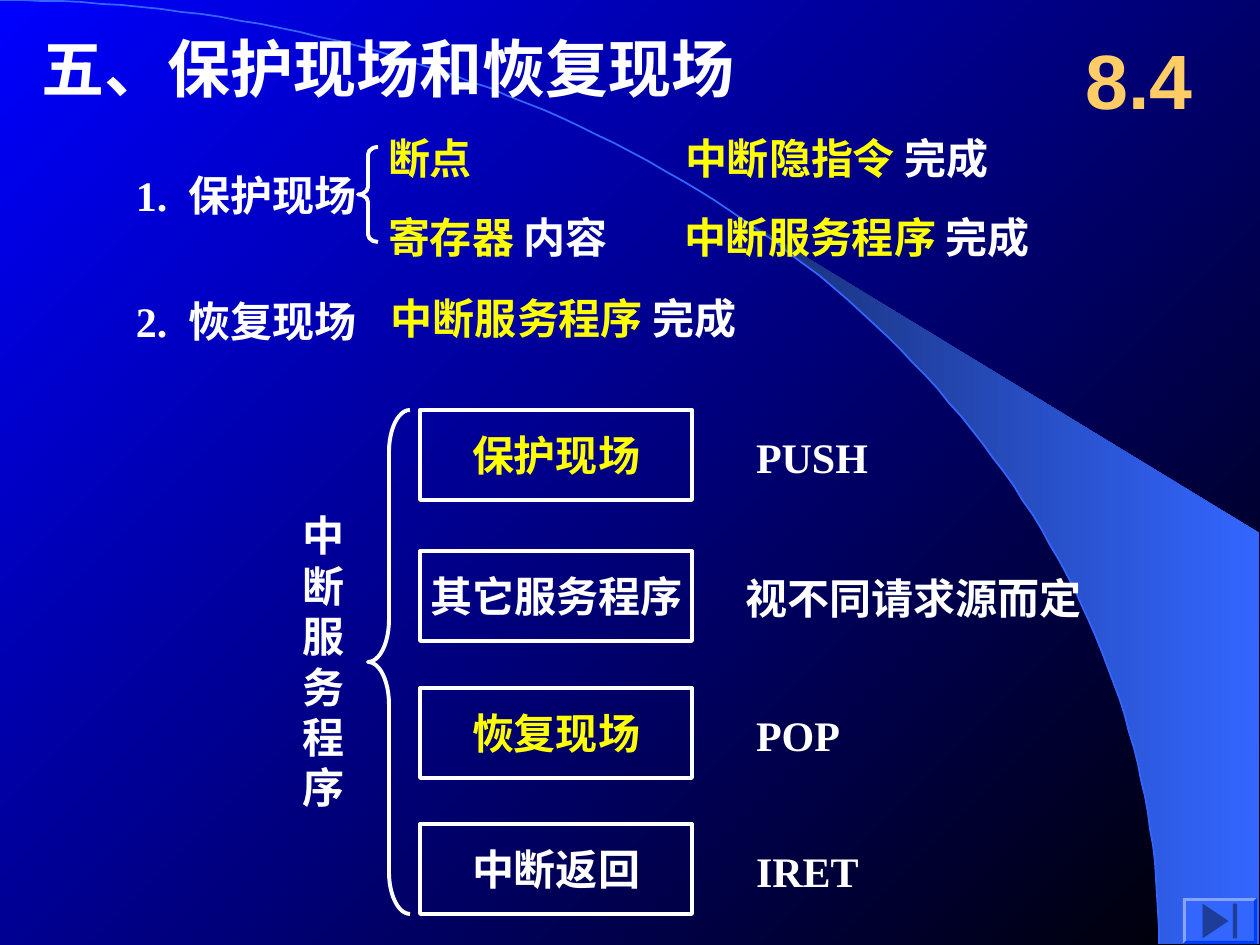
import math
from dataclasses import dataclass

from lxml import etree
from pptx import Presentation, util as u
from pptx.dml.color import RGBColor
from pptx.enum import shapes, text
from pptx.oxml import ns

PX = u.Inches(1) / 126


@dataclass(frozen=True)
class Theme:
    white: str = "FFFFFF"
    yellow: str = "FFFF00"
    gold: str = "FFCC66"
    blue: str = "3366FF"
    background: tuple = ("0000FF", "000000")
    sheen: tuple = ("182F76", "3366FF")
    serif: str = "Times New Roman"
    sans: str = "Arial"
    title: int = 36
    body: int = 24
    chapter: int = 44
    outline: float = 2.25


THEME = Theme()


def px(length):
    return u.Emu(round(length * PX))


def color(code):
    return RGBColor.from_string(code)


def fill_gradient(fill, colors, angle):
    fill.gradient()
    fill.gradient_angle = angle
    for stop, code, position in zip(fill.gradient_stops, colors, (0, 1)):
        stop.color.rgb = color(code)
        stop.position = position


def add_tab_stop(para, position):
    properties = para._p.get_or_add_pPr()
    tabs = etree.SubElement(properties, ns.qn("a:tabLst"))
    etree.SubElement(tabs, ns.qn("a:tab"), pos=str(px(position)), algn="l")


def write(shape, paragraphs, size=THEME.body, font=THEME.serif, inset=0, wrap=False,
          align=text.PP_ALIGN.LEFT, anchor=text.MSO_ANCHOR.MIDDLE, tab=None):
    """Fill a shape with paragraphs, each a list of (words, color) spans."""
    frame = shape.text_frame
    frame.word_wrap = wrap
    frame.vertical_anchor = anchor
    frame.margin_left = frame.margin_right = px(inset)
    frame.margin_top = frame.margin_bottom = px(6)
    for index, spans in enumerate(paragraphs):
        para = frame.add_paragraph() if index else frame.paragraphs[0]
        if tab:
            add_tab_stop(para, tab)
        para.alignment = align
        for words, code in spans:
            span = para.add_run()
            span.text = words
            span.font.size = u.Pt(size)
            span.font.name = font
            span.font.bold = True
            span.font.color.rgb = color(code)


def add_text(page, box, *spans, **style):
    write(page.shapes.add_textbox(*map(px, box)), [spans], **style)


def add_outline(page, kind, box):
    shape = page.shapes.add_shape(kind, *map(px, box))
    shape.shadow.inherit = False
    shape.fill.background()
    shape.line.color.rgb = color(THEME.white)
    shape.line.width = u.Pt(THEME.outline)
    return shape


def add_brace(page, box, curve):
    brace = add_outline(page, shapes.MSO_SHAPE.LEFT_BRACE, box)
    brace.adjustments[0] = curve


def add_freeform(page, points, close):
    builder = page.shapes.build_freeform(*points[0], scale=PX)
    builder.add_line_segments(points[1:], close=close)
    shape = builder.convert_to_shape()
    shape.shadow.inherit = False
    return shape


def draw_backdrop(page, box):
    """Shade the page, then add the sheen and the quarter ellipse it follows."""
    left, top, width, height = box
    fill_gradient(page.background.fill, THEME.background, 315)

    def on_arc(angle):
        return (left + width * math.sin(angle), top + height * (1 - math.cos(angle)))

    steps = 90
    arc = [on_arc(math.pi / 2 * step / steps) for step in range(steps + 1)]
    start = (742, 218)
    edge = [point for point in arc if point[0] > start[0] + 30]
    sheen = add_freeform(page, [start, *edge, (1259, 944), (1259, 533)], True)
    fill_gradient(sheen.fill, THEME.sheen, 0)
    sheen.line.fill.background()
    curve = add_freeform(page, arc, False)
    curve.fill.background()
    curve.line.color.rgb = color(THEME.blue)
    curve.line.width = u.Pt(1)


def draw_header(page, box):
    left, top, width, height = box
    add_text(page, (left, top + 10, 872, 73), ("五、保护现场和恢复现场", THEME.white),
             size=THEME.title)
    add_text(page, (left + width - 158, top, 158, height), ("8.4", THEME.gold),
             size=THEME.chapter, font=THEME.sans, inset=13, wrap=True,
             align=text.PP_ALIGN.CENTER)


def draw_tasks(page, box):
    """Say what is saved or restored, and who does it."""
    left, top, _, _ = box
    white, yellow = THEME.white, THEME.yellow
    for offset, words in ((32, "1.\t保护现场"), (158, "2.\t恢复现场")):
        add_text(page, (left, top + offset, 252, 73), (words, white), tab=53)
    add_brace(page, (left + 222, top + 21, 20, 95), 0.375)
    details = (
        (252, 0, [("断点", yellow)]),
        (549, 0, [("中断隐指令 ", yellow), ("完成", white)]),
        (252, 79, [("寄存器 ", yellow), ("内容", white)]),
        (548, 79, [("中断服务程序 ", yellow), ("完成", white)]),
        (255, 160, [("中断服务程序 ", yellow), ("完成", white)]),
    )
    for x, y, spans in details:
        add_text(page, (left + x, top + y, 420, 63), *spans)


def draw_routine(page, box):
    """Stack the steps of the service routine inside a brace."""
    left, top, _, height = box
    label = page.shapes.add_textbox(*map(px, (left, top + 94, 67, 315)))
    write(label, [[(letter, THEME.white)] for letter in "中断服务程序"], inset=13,
          anchor=text.MSO_ANCHOR.TOP)
    add_brace(page, (left + 78, top, 42, height), 1)
    steps = (
        (0, "保护现场", THEME.yellow, 466, "PUSH"),
        (141, "其它服务程序", THEME.white, 456, "视不同请求源而定"),
        (278, "恢复现场", THEME.yellow, 466, "POP"),
        (414, "中断返回", THEME.white, 466, "IRET"),
    )
    for offset, name, code, note_x, note in steps:
        step = add_outline(page, shapes.MSO_SHAPE.RECTANGLE,
                           (left + 130, top + offset, 272, 90))
        write(step, [[(name, code)]], align=text.PP_ALIGN.CENTER)
        add_text(page, (left + note_x, top + offset + 10, 357, 73), (note, THEME.white))


def draw_end_button(page, box):
    button = page.shapes.add_shape(shapes.MSO_SHAPE.ACTION_BUTTON_END, *map(px, box))
    button.shadow.inherit = False
    button.fill.solid()
    button.fill.fore_color.rgb = color(THEME.blue)
    button.line.fill.background()
    # A bevelled rim: light on the top and left, dark on the bottom and right.
    left, top, width, height = box
    right, bottom, rim = left + width, top + height, 3
    light = [(left, bottom), (left, top), (right, top), (right - rim, top + rim),
             (left + rim, top + rim), (left + rim, bottom - rim)]
    dark = [(right, top), (right, bottom), (left, bottom), (left + rim, bottom - rim),
            (right - rim, bottom - rim), (right - rim, top + rim)]
    for points, brightness in ((light, 0.4), (dark, -0.2)):
        edge = add_freeform(page, points, True)
        edge.fill.solid()
        edge.fill.fore_color.rgb = color(THEME.blue)
        edge.fill.fore_color.brightness = brightness
        edge.line.fill.background()


def main():
    deck = Presentation()
    deck.slide_width, deck.slide_height = px(1260), px(945)
    page = deck.slides.add_slide(deck.slide_layouts[6])
    draw_backdrop(page, (0, 0, 1159, 944))
    draw_header(page, (42, 21, 1176, 116))
    draw_tasks(page, (136, 126, 1000, 240))
    draw_routine(page, (290, 410, 900, 504))
    draw_end_button(page, (1183, 898, 74, 46))
    deck.save("out.pptx")


if __name__ == "__main__":
    main()
